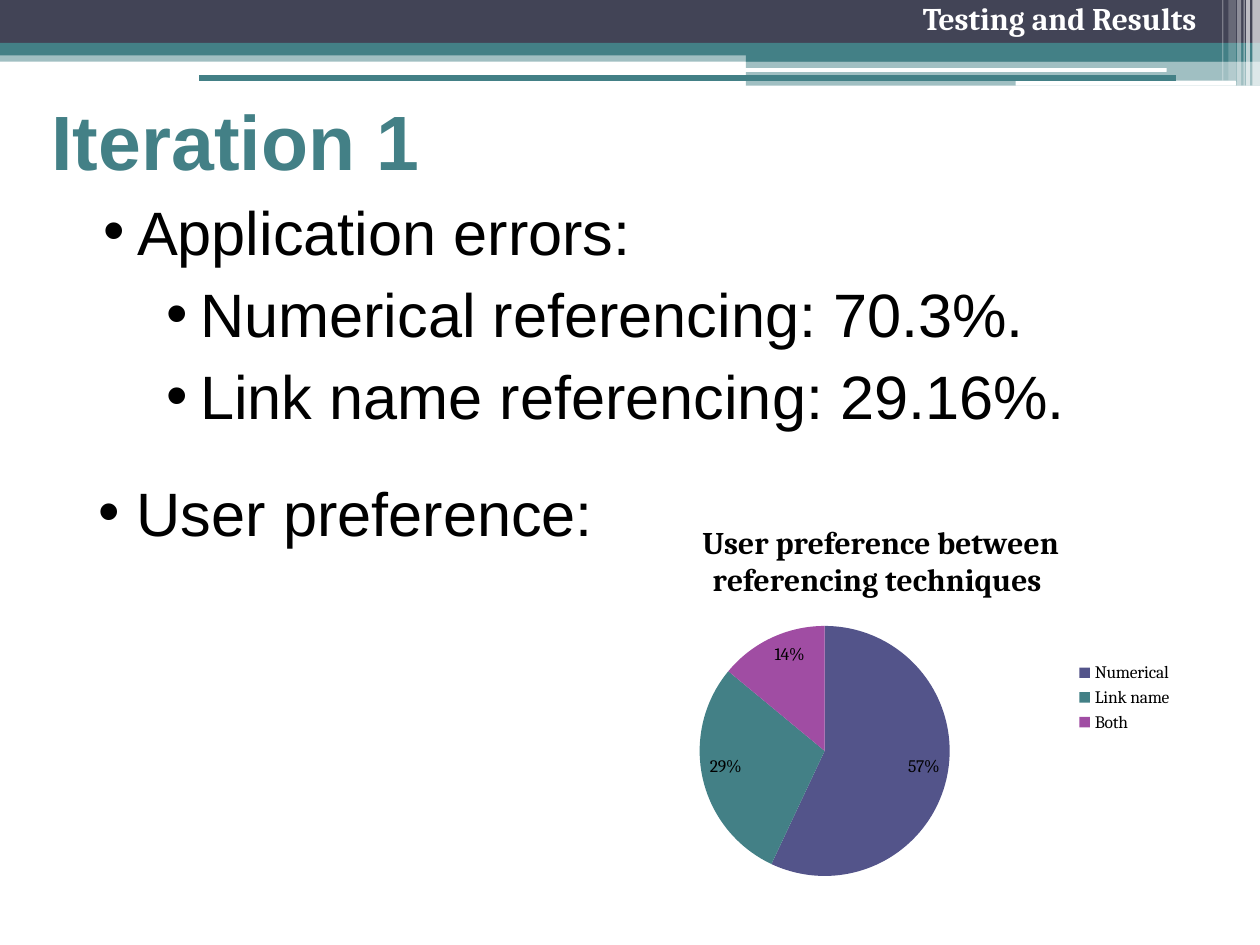
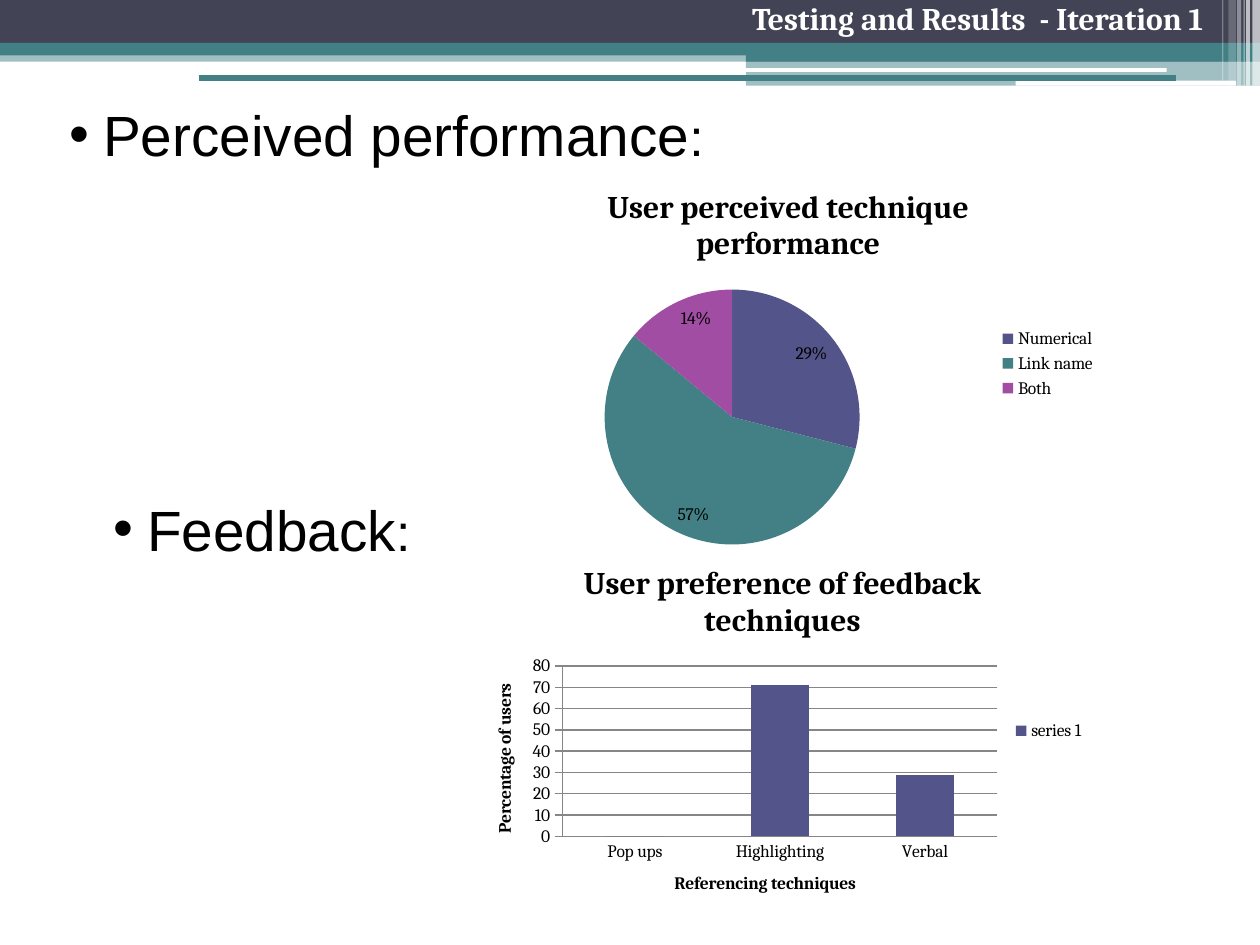
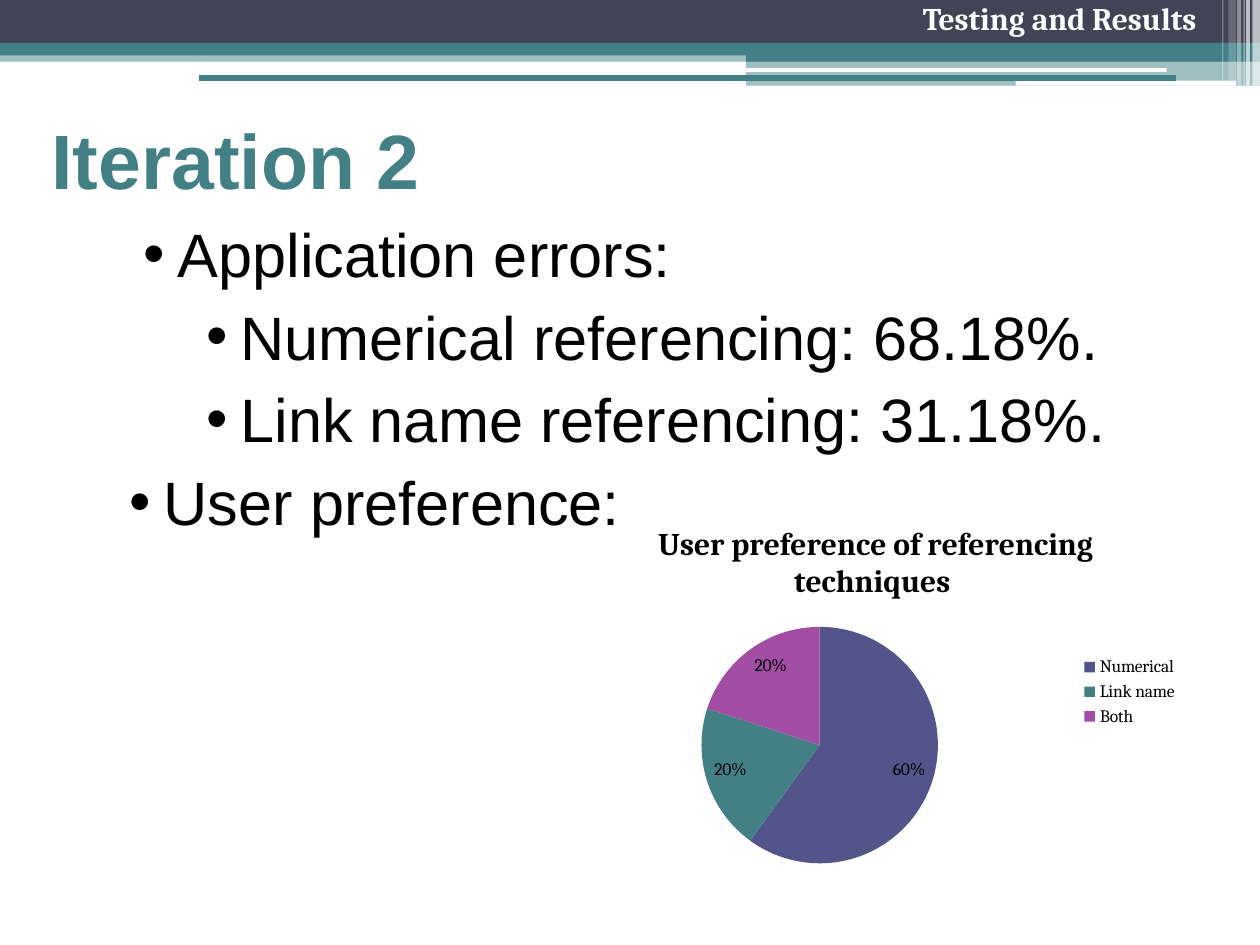
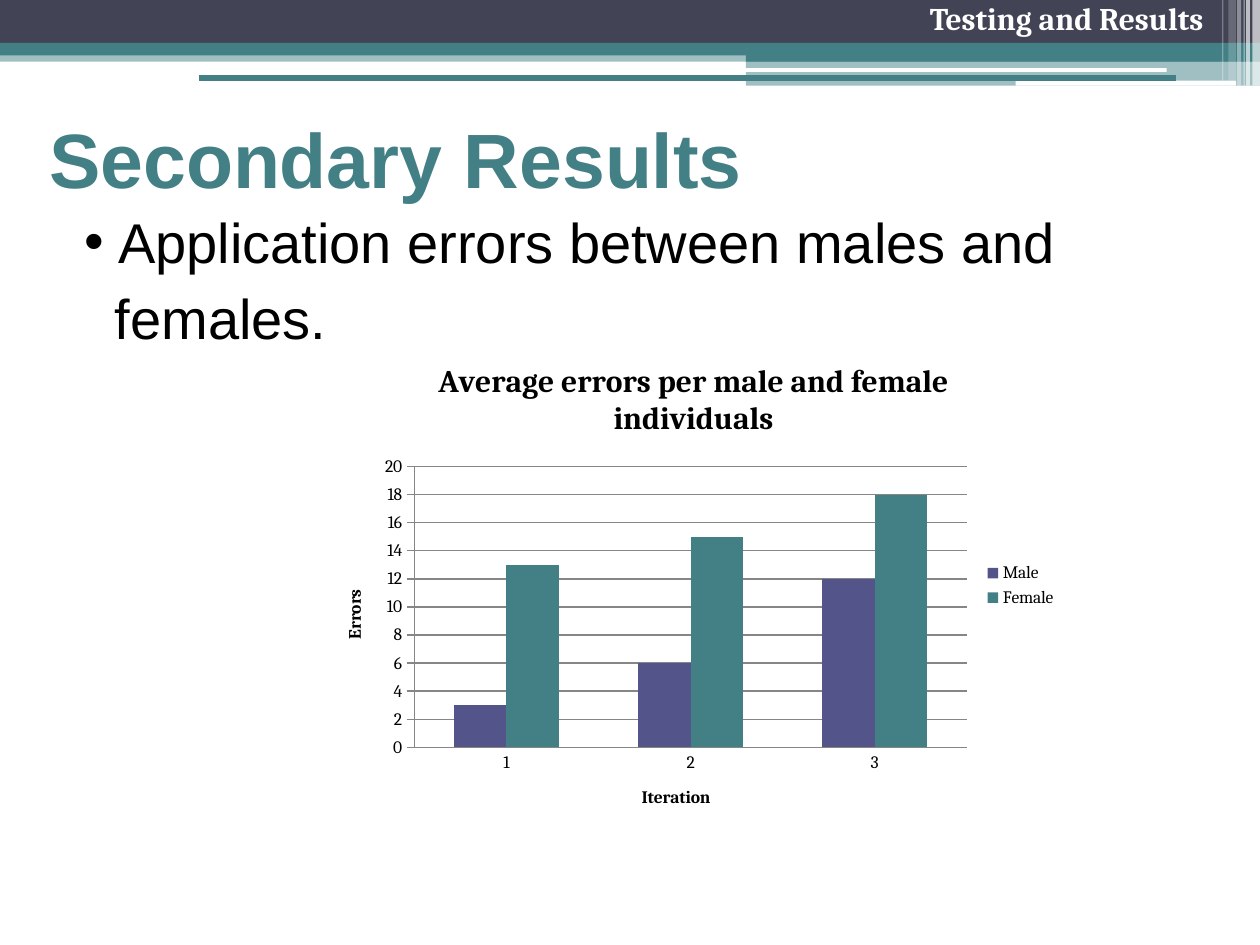
from lxml.etree import SubElement
from pptx import Presentation
from pptx.chart.data import CategoryChartData
from pptx.dml.color import RGBColor
from pptx.enum.chart import (XL_CHART_TYPE as ChartType, XL_LABEL_POSITION as LabelPos,
                             XL_LEGEND_POSITION as LegendPos, XL_TICK_MARK as Tick)
from pptx.enum.shapes import MSO_CONNECTOR as Connector, MSO_SHAPE as Shape
from pptx.enum.text import MSO_ANCHOR as Anchor, MSO_AUTO_SIZE as AutoSize, PP_ALIGN as Align
from pptx.oxml.ns import qn
from pptx.util import Pt

SLATE = RGBColor(0x42, 0x44, 0x56)
TEAL = RGBColor(0x43, 0x80, 0x86)
INDIGO = RGBColor(0x53, 0x54, 0x8A)
PURPLE = RGBColor(0xA0, 0x4D, 0xA3)
GRAY = RGBColor(0x86, 0x86, 0x86)
WHITE = RGBColor(0xFF, 0xFF, 0xFF)
BLACK = RGBColor(0, 0, 0)
SERIES_COLORS = (INDIGO, TEAL, PURPLE)

BODY_FONT = "Arial"
SERIF_FONT = "Cambria"
TITLE_ONLY, BLANK = 5, 6

# left margin and first-line indent of each bullet level
INDENTS = {1: (51.84, -19.44), 2: (87.84, -19.44)}

# left, top, width, height, colour, opacity in percent
BANDS = [
    (0, 28.8, 720, 6.5, TEAL, 50),
    (0, 0, 720, 24.5, SLATE, 100),
    (0, 24.5, 720, 7.2, TEAL, 100),
    (426.2, 28.1, 293.8, 7.2, TEAL, 100),
    (426.2, 34.6, 293.8, 14.4, TEAL, 50),
]
ROUNDED_BARS = [(425.5, 38.9, 241.2, 2.2, WHITE, 100), (580.3, 46.1, 126, 2.9, WHITE, 100)]
STRIPES = [
    (715.7, 0, 4.3, 49, WHITE, 65),
    (712.1, 0, 2.2, 49, WHITE, 65),
    (710.6, 0, 0.7, 49, WHITE, 60),
    (707, 0, 2.2, 49, WHITE, 40),
    (702, 0, 4.3, 46.1, WHITE, 20),
    (698.4, 0, 0.7, 46.1, WHITE, 30),
]


def points(*lengths):
    """Convert numbers to point lengths."""
    return [Pt(n) for n in lengths]


def style_font(font, size, color, name, bold=False):
    """Set the face, size, colour and weight of a font."""
    font.name, font.size, font.bold = name, Pt(size), bold
    font.color.rgb = color


def add_bar(shapes, kind, left, top, width, height, color, opacity):
    """Add a flat, borderless bar."""
    s = shapes.add_shape(kind, *points(left, top, width, height))
    s.shadow.inherit = False
    s.line.fill.background()
    s.fill.solid()
    s.fill.fore_color.rgb = color
    if opacity < 100:
        clr = next(s.element.spPr.iter(qn("a:srgbClr")))
        SubElement(clr, qn("a:alpha"), val=str(opacity * 1000))
    return s


def decorate_master(prs, slide):
    """Draw the shared bands and move them to the slide master."""
    tree = prs.slide_master.shapes.element
    groups = [(Shape.RECTANGLE, BANDS), (Shape.ROUNDED_RECTANGLE, ROUNDED_BARS),
              (Shape.RECTANGLE, STRIPES)]
    bars = [add_bar(slide.shapes, kind, *bar) for kind, group in groups for bar in group]
    for i, s in enumerate(bars):
        s.element.nvSpPr.cNvPr.set("id", str(100 + i))
        tree.insert(2 + i, s.element)


def add_text_box(slide, box):
    """Add a wrapping text box and return its frame."""
    tf = slide.shapes.add_textbox(*points(*box)).text_frame
    tf.word_wrap = True
    return tf


def add_header(slide, text):
    """Add the section name in the top band and the rule below it."""
    p = add_text_box(slide, (275, 0, 419.8, 36)).paragraphs[0]
    p.text = text
    p.alignment = Align.RIGHT
    p.line_spacing, p.space_before = 0.8, Pt(3.6)
    style_font(p.runs[0].font, 18, WHITE, SERIF_FONT, True)
    rule = slide.shapes.add_connector(Connector.STRAIGHT, *points(113.8, 44.6, 671.8, 44.6))
    rule.line.color.rgb, rule.line.width = TEAL, Pt(3)
    SubElement(rule.element.spPr, qn("a:effectLst"))


def set_title(slide, text, left, top):
    """Place and format the slide title."""
    s = slide.shapes.title
    s.left, s.top, s.width, s.height = points(left, top, 492.5, 85)
    tf = s.text_frame
    tf.text = text
    tf.auto_size, tf.vertical_anchor = AutoSize.NONE, Anchor.MIDDLE
    p = tf.paragraphs[0]
    p.alignment = Align.LEFT
    style_font(p.runs[0].font, 44, TEAL, BODY_FONT, True)


def format_item(p, level, size, indent, bullet=True, line_spacing=1.0):
    """Give a list paragraph its level, indent, spacing and bullet."""
    p.level = level
    p.line_spacing, p.space_before, p.space_after = line_spacing, Pt(3), Pt(2)
    pPr = p._p.get_or_add_pPr()
    margin, first = points(*indent)
    pPr.set("marL", str(margin))
    pPr.set("indent", str(first))
    if bullet:
        SubElement(pPr, qn("a:buFont"), typeface=BODY_FONT)
        SubElement(pPr, qn("a:buChar"), char="•")
    else:
        SubElement(pPr, qn("a:buNone"))
    for r in p.runs:
        style_font(r.font, size, BLACK, BODY_FONT)


def add_bullets(slide, box, items, size=35):
    """Add a list of (level, text) items."""
    tf = add_text_box(slide, box)
    tf.text = "\n".join(text for _, text in items)
    for p, (level, _) in zip(tf.paragraphs, items):
        format_item(p, level, size, INDENTS[level])
    return tf


def add_topic(slide, left, top, text):
    """Add a one-line bullet that ends in a smaller colon."""
    p = add_text_box(slide, (left, top, 653, 41.8)).paragraphs[0]
    p.text = text
    p.add_run().text = ":"
    format_item(p, 1, 32.4, INDENTS[1], line_spacing=0.8)
    p.runs[1].font.size = Pt(29.6)


def set_chart_text(owner, text, size):
    """Set the bold title of a chart or of an axis."""
    tf = owner.text_frame
    tf.text = text
    style_font(tf.paragraphs[0].runs[0].font, size, BLACK, SERIF_FONT, True)


def add_chart(slide, kind, box, title, cats, series):
    """Add a chart with its title, legend and base font."""
    data = CategoryChartData()
    data.categories = cats
    for name, values in series:
        data.add_series(name, values)
    chart = slide.shapes.add_chart(kind, *points(*box), data).chart
    style_font(chart.font, 10, BLACK, SERIF_FONT)
    chart.has_title = True
    set_chart_text(chart.chart_title, title, 18)
    chart.chart_title.include_in_layout = False
    chart.has_legend = True
    chart.legend.position = LegendPos.RIGHT
    chart.legend.include_in_layout = False
    return chart


def add_pie(slide, box, title, values):
    """Add a pie of the referencing techniques with percent labels."""
    cats = ("Numerical", "Link name", "Both")
    chart = add_chart(slide, ChartType.PIE, box, title, cats, [("Series 1", values)])
    plot = chart.plots[0]
    plot.vary_by_categories = True
    for i, color in enumerate(SERIES_COLORS):
        fill = plot.series[0].points[i].format.fill
        fill.solid()
        fill.fore_color.rgb = color
    plot.has_data_labels = True
    labels = plot.data_labels
    labels.show_percentage, labels.show_value = True, False
    labels.number_format, labels.number_format_is_linked = "0%", False
    labels.position = LabelPos.INSIDE_END
    style_font(labels.font, 10, BLACK, SERIF_FONT)


def add_columns(slide, box, title, cats, series, cat_title, val_title, top, step):
    """Add a clustered column chart whose value axis runs from 0 to top."""
    chart = add_chart(slide, ChartType.COLUMN_CLUSTERED, box, title, cats, series)
    plot = chart.plots[0]
    plot.vary_by_categories = False
    plot.gap_width, plot.overlap = 150, 0
    for column, color in zip(plot.series, SERIES_COLORS):
        column.format.fill.solid()
        column.format.fill.fore_color.rgb = color
    cat, val = chart.category_axis, chart.value_axis
    for axis, text in ((cat, cat_title), (val, val_title)):
        set_chart_text(axis.axis_title, text, 10)
        axis.format.line.color.rgb = GRAY
    cat.major_tick_mark, val.major_tick_mark = Tick.NONE, Tick.CROSS
    val.minimum_scale, val.maximum_scale, val.major_unit = 0, top, step
    val.has_major_gridlines = True
    val.major_gridlines.format.line.color.rgb = GRAY


def add_slide(prs, layout, header):
    """Add a slide with the shared header."""
    slide = prs.slides.add_slide(prs.slide_layouts[layout])
    add_header(slide, header)
    return slide


def error_items(numerical, link_name):
    """Return the list of error rates of an iteration."""
    return [(1, "Application errors:"),
            (2, f"Numerical referencing: {numerical}%."),
            (2, f"Link name referencing: {link_name}%.")]


def iteration_1(prs):
    """Build the errors and preference slide of iteration 1."""
    slide = add_slide(prs, TITLE_ONLY, "Testing and Results ")
    set_title(slide, "Iteration 1", 22.3, 37.4)
    add_bullets(slide, (19.4, 107.3, 625.7, 149.8), error_items("70.3", "29.16"))
    add_pie(slide, (329, 286.6, 348.5, 223.9),
            "User preference between referencing techniques ", (57, 29, 14))
    p = add_text_box(slide, (49, 267.8, 426.2, 71.3)).paragraphs[0]
    p.text = "User preference:"
    format_item(p, 1, 35, (22, -22))
    return slide


def iteration_1_feedback(prs):
    """Build the performance and feedback slide of iteration 1."""
    slide = add_slide(prs, BLANK, "Testing and Results  - Iteration 1")
    add_topic(slide, 0, 61.2, "Perceived performance")
    add_pie(slide, (267.1, 94.3, 366.5, 226.8),
            "User perceived technique performance", (29, 57, 14))
    add_columns(slide, (267.1, 309.6, 360, 216), "User preference of feedback techniques",
                ("Pop ups", "Highlighting", "Verbal"), [("series 1", (0, 71, 29))],
                "Referencing techniques", "Percentage of users", 80, 10)
    add_topic(slide, 25.2, 286.6, "Feedback")


def iteration_2(prs):
    """Build the errors and preference slide of iteration 2."""
    slide = add_slide(prs, TITLE_ONLY, "Testing and Results ")
    set_title(slide, "Iteration 2", 22.3, 48.2)
    add_bullets(slide, (42.5, 120.2, 611.3, 141.8), error_items("68.18", "31.18"))
    add_pie(slide, (320.4, 287.3, 360, 216),
            "User preference of referencing techniques ", (60, 20, 20))
    add_bullets(slide, (34.6, 262, 611.3, 56.9), [(1, "User preference:")])


def secondary_results(prs):
    """Build the slide that compares male and female errors."""
    slide = add_slide(prs, TITLE_ONLY, "Testing and Results")
    tf = add_bullets(slide, (-27.4, 115.2, 801.4, 100.8),
                     [(2, "Application errors between males and")], 32)
    p = tf.add_paragraph()
    p.text = "females."
    format_item(p, 2, 32, (86, 0), bullet=False)
    set_title(slide, "Secondary Results", 20.9, 47.5)
    add_columns(slide, (181.4, 193, 429.8, 283),
                "Average errors per male and female individuals", ("1", "2", "3"),
                [("Male", (3, 6, 12)), ("Female", (13, 15, 18))],
                "Iteration", "Errors", 20, 2)


def main():
    """Build the presentation."""
    prs = Presentation()
    prs.slide_width, prs.slide_height = points(720, 540)
    decorate_master(prs, iteration_1(prs))
    iteration_1_feedback(prs)
    iteration_2(prs)
    secondary_results(prs)
    prs.save("out.pptx")


main()
